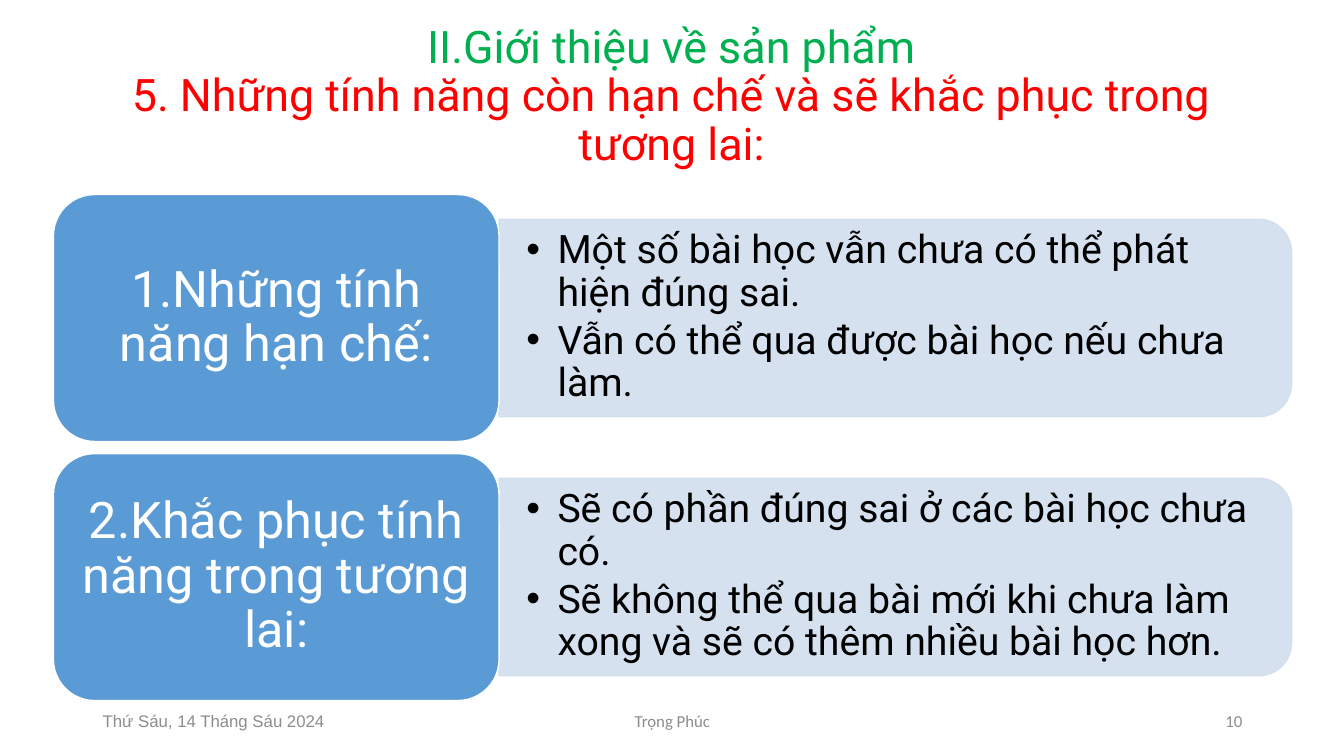
from pptx import Presentation
from pptx.dml.color import RGBColor
from pptx.enum.shapes import MSO_SHAPE as SHAPE
from pptx.enum.text import MSO_ANCHOR as ANCHOR, PP_ALIGN as ALIGN
from pptx.oxml.ns import qn
from pptx.util import Inches, Pt
from lxml import etree

GREEN, RED, BLUE, PALE = "00B050", "FF0000", "5B9BD5", "D2DEEF"
WHITE, BLACK, GREY = "FFFFFF", "000000", "8C8C8C"

FEATURES = [
    ("1.Những tính năng hạn chế:",
     ["Một số bài học vẫn chưa có thể phát hiện đúng sai.",
      "Vẫn có thể qua được bài học nếu chưa làm."]),
    ("2.Khắc phục tính năng trong tương lai:",
     ["Sẽ có phần đúng sai ở các bài học chưa có.",
      "Sẽ không thể qua bài mới khi chưa làm xong và sẽ có thêm nhiều bài học hơn."]),
]


def rgb(color):
    return RGBColor.from_string(color)


def style_run(r, size, color, font="Roboto"):
    r.font.size = Pt(size)
    r.font.name = font
    r.font.color.rgb = rgb(color)


def set_frame(tf, dx=0.1, dy=0.05):
    tf.word_wrap = True
    tf.vertical_anchor = ANCHOR.MIDDLE
    tf.margin_left = tf.margin_right = Inches(dx)
    tf.margin_top = tf.margin_bottom = Inches(dy)
    return tf


def add_text_box(slide, x, y, w, h, dx=0.1, dy=0.05):
    sp = slide.shapes.add_textbox(Inches(x), Inches(y), Inches(w), Inches(h))
    return set_frame(sp.text_frame, dx, dy)


def add_block(slide, kind, x, y, w, h, fill, line):
    sp = slide.shapes.add_shape(kind, Inches(x), Inches(y), Inches(w), Inches(h))
    sp.shadow.inherit = False
    sp.fill.solid()
    sp.fill.fore_color.rgb = rgb(fill)
    sp.line.color.rgb = rgb(line)
    sp.line.width = Pt(1)
    return sp


def add_bullet(p, indent):
    pPr = p._p.get_or_add_pPr()
    pPr.set("marL", str(Inches(indent)))
    pPr.set("indent", str(-Inches(indent)))
    etree.SubElement(pPr, qn("a:buFont")).set("typeface", "Arial")
    etree.SubElement(pPr, qn("a:buChar")).set("char", "•")


def add_title(slide, x, y, w, h):
    p = add_text_box(slide, x, y, w, h).paragraphs[0]
    p.alignment = ALIGN.CENTER
    p.line_spacing = 0.9
    p.text = ("II.Giới thiệu về sản phẩm\v"
              "5. Những tính năng còn hạn chế và sẽ khắc phục trong tương lai:")
    for r, color in zip(p.runs, (GREEN, RED)):
        style_run(r, 32, color)
    # The line break takes the title's size
    for br in p._p.findall(qn("a:br")):
        etree.SubElement(br, qn("a:rPr")).set("sz", "3200")


def add_panel(slide, x, y, w, h, bullets):
    # Turned a quarter so that the rounded corners face right
    sp = add_block(slide, SHAPE.ROUND_2_SAME_RECTANGLE,
                   x + (w - h) / 2, y + (h - w) / 2, h, w, PALE, PALE)
    sp.rotation = 90
    for clr in sp._element.spPr.iter(qn("a:srgbClr")):
        etree.SubElement(clr, qn("a:alpha")).set("val", "90000")

    # Bulleted text
    tf = add_text_box(slide, x, y + 0.09, w - 0.1, h - 0.19, 0.27, 0.14)
    tf.text = "\n".join(bullets)
    for p in tf.paragraphs:
        p.line_spacing = 0.9
        p.space_after = Pt(4.2)
        add_bullet(p, 0.31)
        style_run(p.runs[0], 28, BLACK)


def add_feature(slide, x, y, w, h, label, bullets):
    label_w, panel_h = 4.42, 1.96
    add_panel(slide, x + label_w, y + (h - panel_h) / 2, w - label_w, panel_h, bullets)

    # Label on the left
    sp = add_block(slide, SHAPE.ROUNDED_RECTANGLE, x, y, label_w, h, BLUE, WHITE)
    tf = set_frame(sp.text_frame, 0.15, 0.07)
    tf.text = label
    p = tf.paragraphs[0]
    p.alignment = ALIGN.CENTER
    p.line_spacing = 0.9
    style_run(p.runs[0], 36, WHITE)


def add_footer(slide, y, h):
    for x, w, text, align, font in (
            (0.92, 3, "Thứ Sáu, 14 Tháng Sáu 2024", ALIGN.LEFT, "Arial"),
            (4.42, 4.5, "Trọng Phúc", ALIGN.CENTER, "Calibri"),
            (9.42, 3, "10", ALIGN.RIGHT, "Calibri")):
        p = add_text_box(slide, x, y, w, h).paragraphs[0]
        p.text = text
        p.alignment = align
        style_run(p.runs[0], 12, GREY, font)


def main():
    prs = Presentation()
    prs.slide_width, prs.slide_height = Inches(13.33), Inches(7.5)
    slide = prs.slides.add_slide(prs.slide_layouts[6])

    add_title(slide, 1.12, 0, 11.08, 1.93)
    top, height, gap = 1.93, 2.45, 0.12
    for i, (label, bullets) in enumerate(FEATURES):
        add_feature(slide, 0.53, top + i * (height + gap), 12.28, height, label, bullets)
    add_footer(slide, 6.95, 0.4)

    prs.save("out.pptx")


if __name__ == "__main__":
    main()
